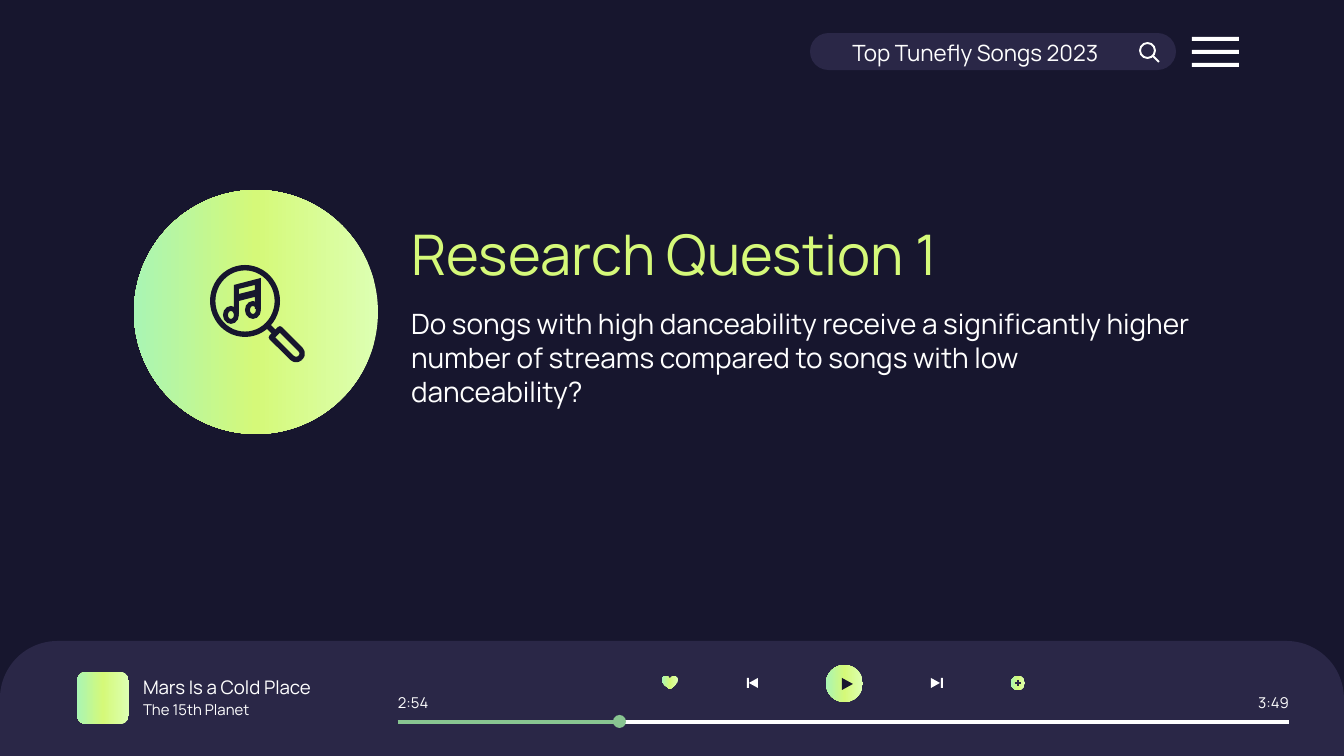
from copy import deepcopy

from lxml.etree import SubElement
from pptx import Presentation
from pptx.dml.color import RGBColor
from pptx.enum.shapes import MSO_CONNECTOR, MSO_SHAPE as SHAPE
from pptx.enum.text import MSO_ANCHOR as ANCHOR, MSO_AUTO_SIZE, PP_ALIGN as ALIGN
from pptx.oxml.ns import qn
from pptx.util import Pt

# Content
TITLE = "Research Question 1"
QUESTION = ("Do songs with high danceability receive a significantly higher number "
            "of streams compared to songs with low danceability?")
SEARCH = "Top Tunefly Songs 2023"
# text, box in px, size, alignment, side inset
PLAYER_TEXTS = [
    ("Mars Is a Cold Place", (130, 676, 257, 23), 10, ALIGN.LEFT, 13),
    ("The 15th Planet", (130, 698, 155, 23), 8, ALIGN.LEFT, 13),
    ("2:54", (398, 691, 36, 23), 8, ALIGN.LEFT, 0),
    ("3:49", (1253, 691, 36, 23), 8, ALIGN.RIGHT, 0),
]

# Look
FONT = "Manrope"
NIGHT, PANEL, WHITE, LIME, GREEN = "17162E", "2A2747", "FFFFFF", "D5F979", "88C591"
GRADIENT = [(0, "DDFFB2"), (0.5, LIME), (1, "A9F5B4")]
SCALE = 914400 / 134.4


def px(value):
    return round(value * SCALE)


def color(hex_code):
    return RGBColor.from_string(hex_code)


def paint(shape, fill):
    """Fill with a hex colour, or with a list of gradient stops."""
    shape.shadow.inherit = False
    shape.line.fill.background()
    if isinstance(fill, str):
        shape.fill.solid()
        shape.fill.fore_color.rgb = color(fill)
        return shape
    shape.fill.gradient()
    shape.fill.gradient_angle = 180
    stop_list = next(shape._element.iter(qn("a:gsLst")))
    stop_list.append(deepcopy(stop_list[-1]))
    for stop, (position, hex_code) in zip(shape.fill.gradient_stops, fill):
        stop.position = position
        stop.color.rgb = color(hex_code)
    return shape


def add_preset(kind, box, fill, *adjustments):
    shape = slide.shapes.add_shape(kind, *map(px, box))
    for i, value in enumerate(adjustments):
        shape.adjustments[i] = value
    return paint(shape, fill)


def add_ring(box, thickness, fill):
    return add_preset(SHAPE.DONUT, box, fill, thickness / min(box[2:]))


def add_outline(fill, *contours):
    builder = slide.shapes.build_freeform(*contours[0][0], scale=SCALE)
    for i, points in enumerate(contours):
        if i:
            builder.move_to(*points[0])
        builder.add_line_segments(points[1:], close=True)
    return paint(builder.convert_to_shape(), fill)


def add_line(start, end, hex_code, width):
    line = slide.shapes.add_connector(MSO_CONNECTOR.STRAIGHT, *map(px, start + end))
    line.line.color.rgb = color(hex_code)
    line.line.width = Pt(width)
    SubElement(line._element.spPr, qn("a:effectLst"))


def write(holder, text, box, size, hex_code=WHITE, align=ALIGN.LEFT,
          anchor=ANCHOR.MIDDLE, side=13, indent=0):
    holder.left, holder.top, holder.width, holder.height = map(px, box)
    frame = holder.text_frame
    frame.text = text
    frame.word_wrap = True
    frame.auto_size = MSO_AUTO_SIZE.NONE
    frame.vertical_anchor = anchor
    frame.margin_left = frame.margin_right = px(side)
    frame.margin_top = frame.margin_bottom = px(13)
    paragraph = frame.paragraphs[0]
    properties = paragraph._p.get_or_add_pPr()
    properties.set("marL", str(px(indent)))
    properties.set("indent", "0")
    SubElement(properties, qn("a:buNone"))
    paragraph.alignment = align
    paragraph.space_before = Pt(0)
    font = paragraph.runs[0].font
    font.name, font.size, font.color.rgb = FONT, Pt(size), color(hex_code)
    return paragraph


deck = Presentation()
deck.slide_width, deck.slide_height = px(1344), px(756)
slide = deck.slides.add_slide(deck.slide_layouts[3])
slide.background.fill.solid()
slide.background.fill.fore_color.rgb = color(NIGHT)
title, question, search = slide.placeholders

# Search bar and menu
add_preset(SHAPE.ROUNDED_RECTANGLE, (810, 33, 366, 37), PANEL, 0.5)
for row in range(3):
    add_preset(SHAPE.RECTANGLE, (1192, 37 + 13 * row, 47, 4), WHITE)
add_ring((1139, 42, 17, 17), 2, WHITE)
add_line((1153, 56), (1159, 62), WHITE, 1)

# Player panel
add_preset(SHAPE.ROUND_2_SAME_RECTANGLE, (0, 641, 1344, 115), PANEL, 0.5, 0)
add_preset(SHAPE.ROUNDED_RECTANGLE, (77, 672, 52, 52), GRADIENT, 0.17)
for text, box, size, align, side in PLAYER_TEXTS:
    write(slide.shapes.add_textbox(0, 0, 0, 0), text, box, size, align=align, side=side)

# Player buttons: like, previous, play, next, add
add_preset(SHAPE.HEART, (662, 676, 16, 13), GRADIENT)
add_preset(SHAPE.RECTANGLE, (747, 678, 2, 10), WHITE)
add_outline(WHITE, [(758, 678), (749, 683), (758, 688)])
add_preset(SHAPE.OVAL, (826, 665, 37, 37), GRADIENT)
add_outline(NIGHT, [(842, 678), (842, 690), (853, 684)])
add_outline(WHITE, [(931, 678), (931, 688), (940, 683)])
add_preset(SHAPE.RECTANGLE, (941, 678, 2, 10), WHITE)
add_preset(SHAPE.OVAL, (1011, 676, 14, 14), GRADIENT)
add_line((1018, 680), (1018, 686), PANEL, 0.75)
add_line((1015, 683), (1021, 683), PANEL, 0.75)

# Progress bar
add_line((398, 722), (1289, 722), WHITE, 2.25)
add_preset(SHAPE.OVAL, (613, 715, 13, 13), GREEN)
add_line((398, 722), (618, 722), GREEN, 2.25)

# Magnifier on its disc
add_preset(SHAPE.OVAL, (134, 190, 244, 244), GRADIENT)
add_ring((210, 265, 70, 72), 5.4, NIGHT)
add_line((268, 326), (274, 332), NIGHT, 2.9)
handle = add_preset(SHAPE.ROUND_2_SAME_RECTANGLE, (282, 328, 12, 35), NIGHT, 0.5, 0)
handle.rotation = 135
handle.fill.background()
handle.line.color.rgb = color(NIGHT)
handle.line.width = Pt(2.9)

# Music note inside the lens
add_outline(NIGHT,
            [(234, 285), (261, 278), (261, 309), (255, 309), (255, 297),
             (239, 301), (239, 314), (234, 314)],
            [(239, 289), (255, 285), (255, 290), (239, 294)])
for left, top in [(223, 306), (245, 301)]:
    add_ring((left, top, 16, 18), 5, NIGHT)

# Title, question and search text, above the shapes
write(title, TITLE, (398, 211, 672, 85), 30, LIME)
write(question, QUESTION, (398, 294, 808, 148), 15, anchor=ANCHOR.TOP)
search_line = write(search, SEARCH, (762, 26, 360, 50), 12, align=ALIGN.CENTER, indent=67)
search_line.line_spacing = 1.15
search_line.space_after = Pt(16)
for holder in (title, question, search):
    holder._element.getparent().append(holder._element)

deck.save("out.pptx")
